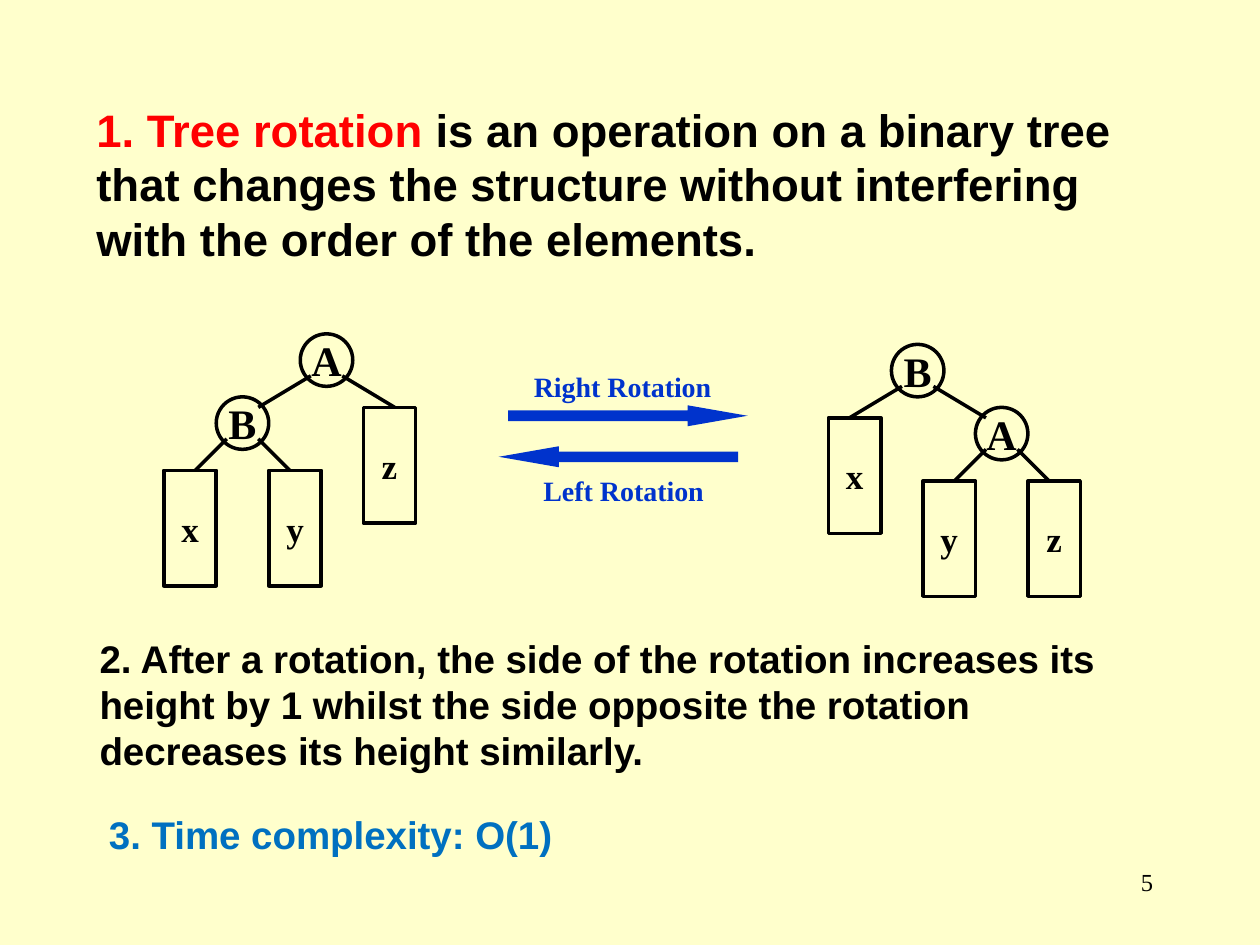
from lxml import etree
from pptx import Presentation
from pptx.dml.color import RGBColor
from pptx.enum.shapes import MSO_CONNECTOR, MSO_SHAPE as SHAPE
from pptx.enum.text import MSO_ANCHOR as ANCHOR, PP_ALIGN as ALIGN
from pptx.oxml.ns import qn
from pptx.util import Inches, Pt

COLS, ROWS = 120, 90
TREE = 24
SERIF, SANS = "Times New Roman", "Arial"
BLACK, BLUE, RED, SKY, CREAM = "000000", "0033CC", "FF0000", "0070C0", "FFFFCC"

NODES = [(6, 0), (14, 6)]
LEAVES = [(0, 7), (9, 13), (19, 13)]
EDGES = [(10, 4, 15, 7), (7, 4, 2, 7), (15, 10, 12, 13), (18, 10, 21, 13)]


def color(value):
    """Turn a hex string into a colour."""
    return RGBColor.from_string(value)


def grid(*cells):
    """Turn grid cells of a twelfth of an inch into lengths."""
    return [Inches(c / 12) for c in cells]


def write(shape, runs, size, font, align=ALIGN.LEFT, bold=True, wrap=True):
    """Fill a shape with one paragraph of coloured runs."""
    tf = shape.text_frame
    tf.word_wrap = wrap
    p = tf.paragraphs[0]
    p.alignment = align
    for text, hue in runs:
        r = p.add_run()
        r.text = text
        r.font.size, r.font.name, r.font.bold = Pt(size), font, bold
        r.font.color.rgb = color(hue)


def add_text(s, box, runs, size, font=SANS, **options):
    """Place a text box."""
    write(s.shapes.add_textbox(*grid(*box)), runs, size, font, **options)


def add_node(s, kind, box, label, size):
    """Place an outlined, labelled tree element."""
    sp = s.shapes.add_shape(kind, *grid(*box))
    sp.shadow.inherit = False
    sp.fill.background()
    sp.line.color.rgb, sp.line.width = color(BLACK), Pt(2)
    tf = sp.text_frame
    tf.margin_left = tf.margin_right = 0
    tf.vertical_anchor = ANCHOR.MIDDLE
    write(sp, [(label, BLACK)], size, SERIF, ALIGN.CENTER, wrap=False)


def add_edge(s, x1, y1, x2, y2):
    """Draw one branch of a tree."""
    line = s.shapes.add_connector(MSO_CONNECTOR.STRAIGHT, *grid(x1, y1, x2, y2))
    line.line.color.rgb, line.line.width = color(BLACK), Pt(2)
    etree.SubElement(line._element.spPr, qn("a:effectLst"))


def add_tree(s, left, top, nodes, leaves, mirror=False):
    """Draw a rotated tree, or its mirror image, in a square box."""
    def column(x, width=0):
        return left + (TREE - x - width if mirror else x)

    for (x, y), label in zip(NODES, nodes):
        add_node(s, SHAPE.OVAL, (column(x, 5), top + y, 5, 5), label, 24)
    for x1, y1, x2, y2 in EDGES:
        add_edge(s, column(x1), top + y1, column(x2), top + y2)
    for (x, y), label in zip(LEAVES, leaves):
        add_node(s, SHAPE.RECTANGLE, (column(x, 5), top + y, 5, 11), label, 20)


def add_rotation(s, arrow_at, label_at, label, angle):
    """Draw a rotation arrow with its label."""
    sp = s.shapes.add_shape(SHAPE.RIGHT_ARROW, *grid(*arrow_at, 22.8, 2))
    sp.shadow.inherit = False
    sp.adjustments[0], sp.adjustments[1] = 0.5, 2.86
    sp.rotation = angle
    sp.fill.solid()
    sp.fill.fore_color.rgb = color(BLUE)
    sp.line.fill.background()
    add_text(s, (*label_at, 24, 4.4), [(label, BLUE)], 16, SERIF, align=ALIGN.CENTER)


def main():
    """Build the tree rotation slide."""
    prs = Presentation()
    prs.slide_width, prs.slide_height = grid(COLS, ROWS)
    s = prs.slides.add_slide(prs.slide_layouts[6])
    s.background.fill.solid()
    s.background.fill.fore_color.rgb = color(CREAM)

    add_text(s, (86, 82, 25, 6), [("5", BLACK)], 14, SERIF, align=ALIGN.RIGHT, bold=False)
    add_tree(s, 15.6, 31.8, "AB", "zyx", mirror=True)
    add_tree(s, 78.9, 32.8, "BA", "xyz")
    add_rotation(s, (48.4, 38.6), (47.3, 34.6), "Right Rotation", 0)
    add_rotation(s, (47.5, 42.5), (47.4, 44.5), "Left Rotation", 180)
    add_text(s, (8, 9.1, 103, 16.8), [
        ("1. Tree rotation ", RED),
        ("is an operation on a binary tree that changes the structure "
         "without interfering with the order of the elements.", BLACK)], 26)
    add_text(s, (9.2, 76.6, 44.6, 5.6), [("3. Time complexity: O(1)", SKY)], 22, wrap=False)
    add_text(s, (8.3, 59.9, 103, 14.4), [
        ("2. After a rotation, the side of the rotation increases its height by 1 "
         "whilst the side opposite the rotation decreases its height similarly.", BLACK)], 22)
    prs.save("out.pptx")


if __name__ == "__main__":
    main()
